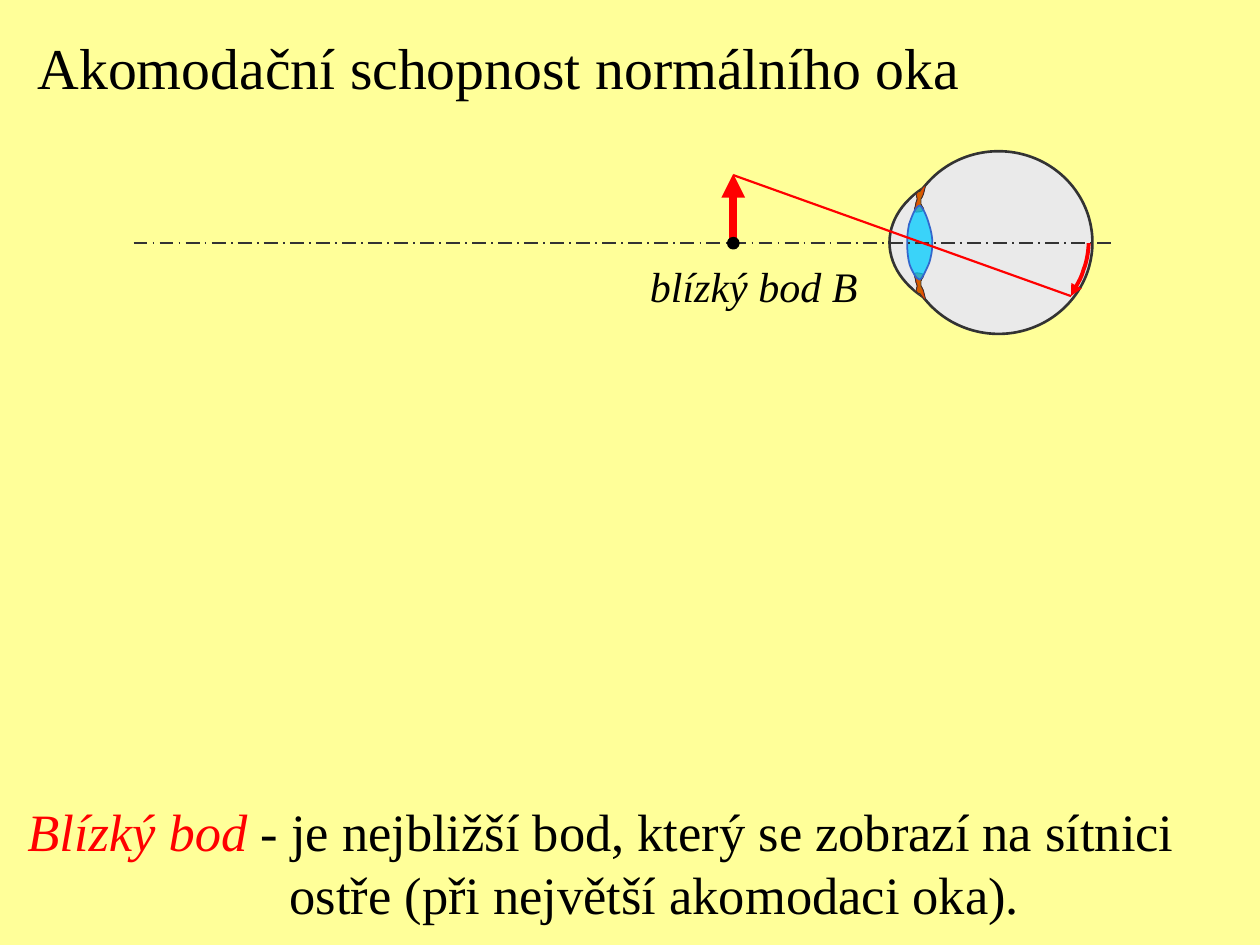
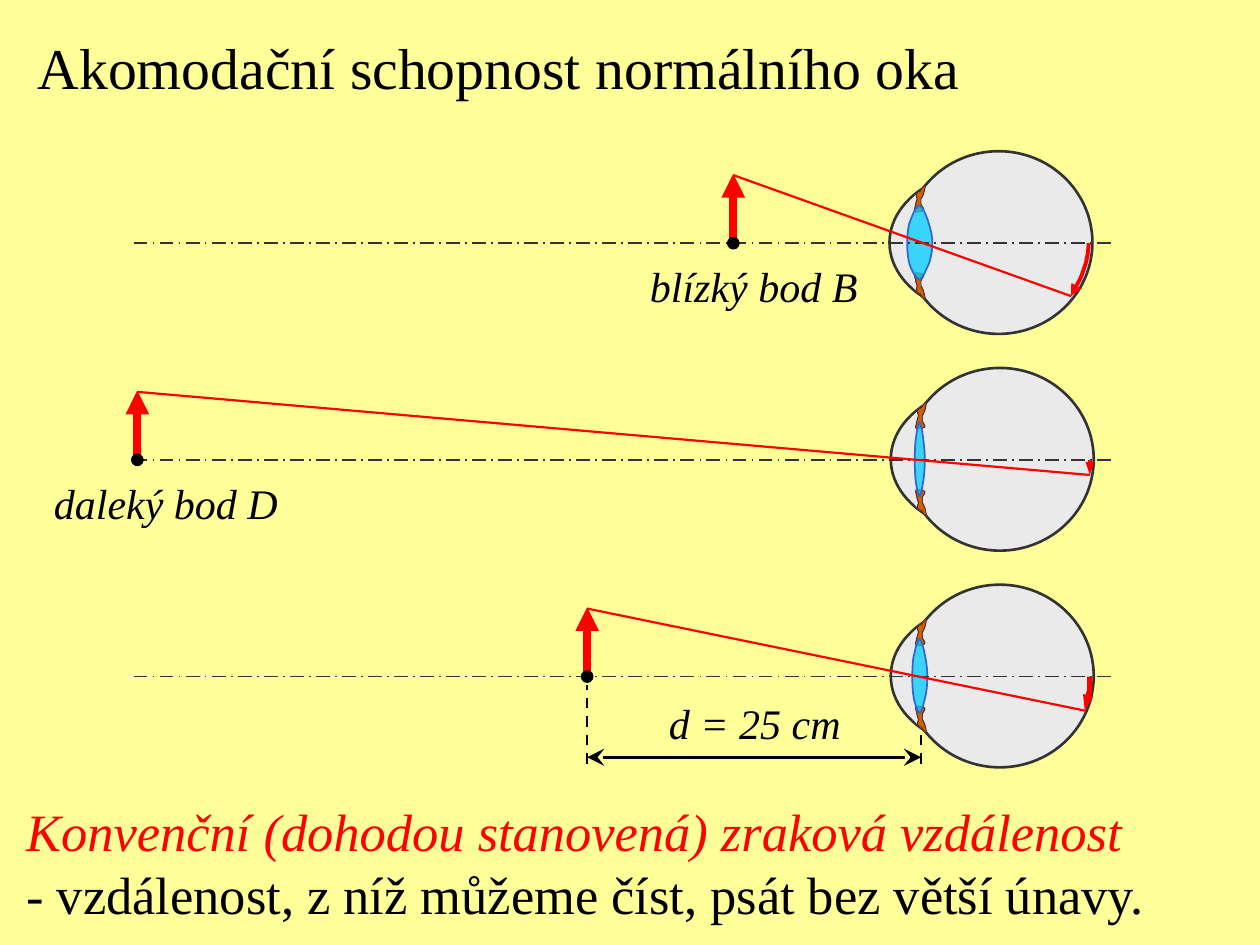
"""Build two slides on the accommodation of a normal eye."""
from copy import deepcopy
from dataclasses import dataclass

from lxml.etree import SubElement
from pptx import Presentation
from pptx.dml.color import RGBColor
from pptx.enum.dml import MSO_LINE_DASH_STYLE as Dash
from pptx.enum.shapes import MSO_CONNECTOR as Connector, MSO_SHAPE as Preset
from pptx.oxml.ns import qn
from pptx.util import Inches, Pt


@dataclass(frozen=True)
class Theme:
    """Colours, type sizes and font shared by the slides."""
    background: str = "FFFF99"
    ink: str = "000000"
    accent: str = "FF0000"
    outline: str = "333333"
    eyeball: str = "EAEAEA"
    lens: str = "00CCFF"
    lens_edge: str = "3366CC"
    iris: tuple = ("FF3300", "CC6600", "FF3300")
    font: str = "Times New Roman"
    title_size: int = 33
    label_size: int = 24
    note_size: int = 30


@dataclass(frozen=True)
class Sight:
    """One row: the object, the eye, the lens and the image on the retina."""
    row: int
    object_x: float
    eye_x: float
    lens_half: float
    retina: tuple
    retina_weight: float
    head_width: str


THEME = Theme()
SLIDE_WIDTH, SLIDE_HEIGHT = Inches(10), Inches(7.5)
COLUMNS = 10
FIRST_AXIS, ROW_PITCH = 1.93, 1.72
LENS_X = 7.3
OBJECT_HEIGHT = 0.55

NEAR = Sight(0, 5.82, 7.3, 0.1,
             (((8.64, 0),), ((8.64, 0.04), (8.63, 0.14), (8.6, 0.21)),
              ((8.58, 0.28), (8.52, 0.38), (8.5, 0.42))), 2.25, "med")
FAR = Sight(1, 1.09, 7.31, 0.04, (((8.65, 0),), ((8.65, 0.12),)), 2.5, "sm")
CONVENTIONAL = Sight(2, 4.66, 7.31, 0.06,
                     (((8.65, 0),), ((8.65, 0.02), (8.65, 0.06), (8.65, 0.1)),
                      ((8.64, 0.14), (8.61, 0.23), (8.61, 0.27))), 3, "sm")

CORNEA = (((0.19, -0.44),), ((0.17, -0.58), (0.06, -0.44), (0, -0.41)),
          ((-0.05, -0.37), (-0.1, -0.32), (-0.13, -0.24)),
          ((-0.15, -0.17), (-0.16, -0.05), (-0.16, 0.02)),
          ((-0.16, 0.1), (-0.15, 0.16), (-0.13, 0.22)),
          ((-0.1, 0.29), (-0.05, 0.36), (-0.01, 0.4)),
          ((0.09, 0.46),), ((0.13, 0.32), (0.2, -0.3), (0.19, -0.44)))
IRIS = (((0.05, -0.47),), ((0.03, -0.39),),
        ((0.02, -0.37), (0.02, -0.36), (0.01, -0.35)),
        ((0.01, -0.34), (0.01, -0.33), (0.01, -0.31)),
        ((0.01, -0.3), (0.04, -0.27), (0.03, -0.26)),
        ((0.02, -0.25), (-0.03, -0.24), (-0.04, -0.25)),
        ((-0.05, -0.26), (-0.03, -0.3), (-0.03, -0.32)),
        ((-0.02, -0.34), (-0.02, -0.34), (-0.02, -0.35)),
        ((-0.02, -0.36), (-0.03, -0.38), (-0.03, -0.39)),
        ((-0.01, -0.41),), ((0, -0.41),), ((0.03, -0.45),), ((0.05, -0.47),))
LENS = (((0, -0.3),), ((-0.38, -0.29), (-0.66, -0.2), (-0.85, -0.15)),
        ((-0.95, -0.1), (-1, -0.05), (-1, 0)),
        ((-1, 0.05), (-0.95, 0.12), (-0.8, 0.17)),
        ((-0.66, 0.21), (-0.28, 0.29), (0, 0.29)),
        ((0.24, 0.28), (0.5, 0.21), (0.7, 0.17)),
        ((0.9, 0.12), (1, 0.05), (1, 0)),
        ((1, -0.05), (0.9, -0.1), (0.74, -0.15)),
        ((0.6, -0.2), (0.3, -0.28), (0, -0.3)))


def cells(count):
    """Turn a number of grid columns into a length."""
    return round(count * SLIDE_WIDTH / COLUMNS)


def rgb(code):
    """Read a colour code."""
    return RGBColor.from_string(code)


def moved(segments, x, y, scale_x=1, scale_y=1):
    """Scale the segments of an outline and move them to a place."""
    return [[(x + px * scale_x, y + py * scale_y) for px, py in segment]
            for segment in segments]


def style_line(shape, color, weight, dash=None, head=None, tail=None, **head_size):
    """Set the colour, weight, dash and arrowheads of a line."""
    shape.line.color.rgb = rgb(color)
    shape.line.width = Pt(weight)
    if dash:
        shape.line.dash_style = dash
    for tag, kind in (("a:headEnd", head), ("a:tailEnd", tail)):
        if kind:
            SubElement(shape.line._get_or_add_ln(), qn(tag), type=kind, **head_size)


def add_line(slide, start, end, color, weight, **ends):
    """Draw a straight line or arrow."""
    line = slide.shapes.add_connector(Connector.STRAIGHT, *map(cells, (*start, *end)))
    style_line(line, color, weight, **ends)
    SubElement(line._element.spPr, qn("a:effectLst"))


def add_ellipse(slide, left, top, width, height, fill, edge):
    """Draw a filled ellipse."""
    shape = slide.shapes.add_shape(Preset.OVAL, *map(cells, (left, top, width, height)))
    shape.shadow.inherit = False
    shape.fill.solid()
    shape.fill.fore_color.rgb = rgb(fill)
    style_line(shape, edge, 1.5)


def bend(shape, segments):
    """Turn each three-point segment of a freeform into a cubic curve."""
    straight = iter(shape._element.spPr.findall(".//" + qn("a:lnTo")))
    for segment in segments[1:]:
        steps = [next(straight) for _ in segment]
        if len(steps) == 3:
            steps[0].addprevious(cubic := deepcopy(steps[0]))
            cubic.tag = qn("a:cubicBezTo")
            for step in steps[1:]:
                cubic.append(step[0])
            for step in steps:
                step.getparent().remove(step)


def add_outline(slide, segments, fill=None, edge=None, weight=1, closed=True, **ends):
    """Draw a freeform from lines of one point and curves of three."""
    places = [(cells(x), cells(y)) for segment in segments for x, y in segment]
    builder = slide.shapes.build_freeform(*places[0])
    builder.add_line_segments(places[1:], close=closed)
    shape = builder.convert_to_shape()
    bend(shape, segments)
    shape.shadow.inherit = False
    if fill:
        shape.fill.solid()
        shape.fill.fore_color.rgb = rgb(fill)
    else:
        shape.fill.background()
    if edge:
        style_line(shape, edge, weight, **ends)
    else:
        shape.line.fill.background()
    return shape


def shade_iris(shape):
    """Fill a shape with the three-stop iris gradient."""
    shape.fill.gradient()
    shape.fill.gradient_angle = 180
    stop_list = shape._element.spPr.find(".//" + qn("a:gsLst"))
    stop_list.insert(1, deepcopy(stop_list[0]))
    for index, (stop, color) in enumerate(zip(shape.fill.gradient_stops, THEME.iris)):
        stop.position = index / 2
        stop.color.rgb = rgb(color)


def add_run(paragraph, text, size, color=THEME.ink, italic=False):
    """Add formatted text to a paragraph."""
    run = paragraph.add_run()
    run.text = text
    run.font.name = THEME.font
    run.font.size = Pt(size)
    run.font.color.rgb = rgb(color)
    run.font.italic = italic


def add_text(slide, text, left, top, width, height, **style):
    """Add a text box and return its text frame."""
    frame = slide.shapes.add_textbox(*map(cells, (left, top, width, height))).text_frame
    frame.word_wrap = True
    add_run(frame.paragraphs[0], text, **style)
    return frame


def add_label(slide, text, left, top, width):
    """Add an italic label to the drawing."""
    add_text(slide, text, left, top, width, 0.5, size=THEME.label_size, italic=True)


def add_note(slide, term, left):
    """Start the definition at the foot with its red term."""
    return add_text(slide, term, left, 6.29, 9.4, 1.1, size=THEME.note_size,
                    color=THEME.accent, italic=True)


def add_eye(slide, axis, eye_x, lens_half):
    """Draw the eyeball, cornea, iris and lens."""
    for left, top, width, height in ((-0.24, -0.58, 1.57, 1.15), (-0.12, -0.73, 1.49, 1.45)):
        add_ellipse(slide, eye_x + left, axis + top, width, height,
                    THEME.eyeball, THEME.outline)
    add_outline(slide, moved(CORNEA, eye_x, axis), fill=THEME.eyeball)
    for middle, side in ((axis, 1), (axis - 0.01, -1)):
        shade_iris(add_outline(slide, moved(IRIS, eye_x, middle, scale_y=side),
                               edge=THEME.outline, weight=0.5))
    lens = add_outline(slide, moved(LENS, LENS_X, axis, scale_x=lens_half),
                       fill=THEME.lens, edge=THEME.lens_edge)
    lens_color = lens._element.spPr.find(qn("a:solidFill"))[0]
    SubElement(lens_color, qn("a:alpha"), val="75000")


def add_sight(slide, sight):
    """Draw one row with object, eye, axis, ray and retinal image."""
    axis = FIRST_AXIS + sight.row * ROW_PITCH
    x = sight.object_x
    image = moved(sight.retina, 0, axis)
    arrow = {"tail": "triangle", "w": sight.head_width, "len": "med"}
    add_line(slide, (x, axis), (x, axis - OBJECT_HEIGHT), THEME.accent, 4.5, tail="triangle")
    add_eye(slide, axis, sight.eye_x, sight.lens_half)
    add_line(slide, (1.06, axis), (8.85, axis), THEME.outline, 1,
             dash=Dash.LONG_DASH_DOT)
    add_line(slide, (x, axis - OBJECT_HEIGHT + 0.01), image[-1][-1], THEME.accent, 1.25)
    if len(image[-1]) == 1:
        add_line(slide, image[0][0], image[1][0], THEME.accent, sight.retina_weight, **arrow)
    else:
        add_outline(slide, image, edge=THEME.accent, weight=sight.retina_weight,
                    closed=False, **arrow)
    add_ellipse(slide, x - 0.04, axis - 0.04, 0.08, 0.08, THEME.ink, THEME.ink)


def add_distance(slide, sight):
    """Draw the dimension line from the object to the lens."""
    x, lens_x = sight.object_x, LENS_X + 0.01
    for place, top in ((x, 5.44), (lens_x, 5.77)):
        add_line(slide, (place, 6.06), (place, top), THEME.ink, 1.5, dash=Dash.DASH)
    add_line(slide, (x, 6.01), (lens_x, 6.01), THEME.ink, 1.5,
             head="stealth", tail="stealth", w="lg", len="lg")
    add_label(slide, "d = 25 cm", 5.21, 5.49, 1.7)


def add_base_slide(presentation):
    """Add a slide with the title and the near point that both slides show."""
    slide = presentation.slides.add_slide(presentation.slide_layouts[6])
    slide.background.fill.solid()
    slide.background.fill.fore_color.rgb = rgb(THEME.background)
    add_text(slide, "Akomodační schopnost normálního oka", 0.2, 0.2, 7.7, 0.65,
             size=THEME.title_size)
    add_sight(slide, NEAR)
    add_label(slide, "blízký bod B", 5.06, 2.02, 2)
    return slide


def build_near_point(presentation):
    """Build the slide that defines the near point."""
    slide = add_base_slide(presentation)
    note = add_note(slide, "Blízký bod", 0.12)
    add_run(note.paragraphs[0], " - je nejbližší bod, který se zobrazí na sítnici",
            THEME.note_size)
    second = note.add_paragraph()
    second._p.get_or_add_pPr().set("marL", str(cells(2.08)))
    add_run(second, "ostře (při největší akomodaci oka).", THEME.note_size)


def build_conventional_distance(presentation):
    """Build the slide that compares the three object distances."""
    slide = add_base_slide(presentation)
    add_sight(slide, FAR)
    add_label(slide, "daleký bod D", 0.33, 3.74, 2.1)
    add_sight(slide, CONVENTIONAL)
    add_distance(slide, CONVENTIONAL)
    note = add_note(slide, "Konvenční (dohodou stanovená) zraková vzdálenost", 0.11)
    add_run(note.add_paragraph(), "- vzdálenost, z níž můžeme číst, psát bez větší únavy.",
            THEME.note_size)


def main():
    """Build and save the presentation."""
    presentation = Presentation()
    presentation.slide_width, presentation.slide_height = SLIDE_WIDTH, SLIDE_HEIGHT
    build_near_point(presentation)
    build_conventional_distance(presentation)
    presentation.save("out.pptx")


if __name__ == "__main__":
    main()
